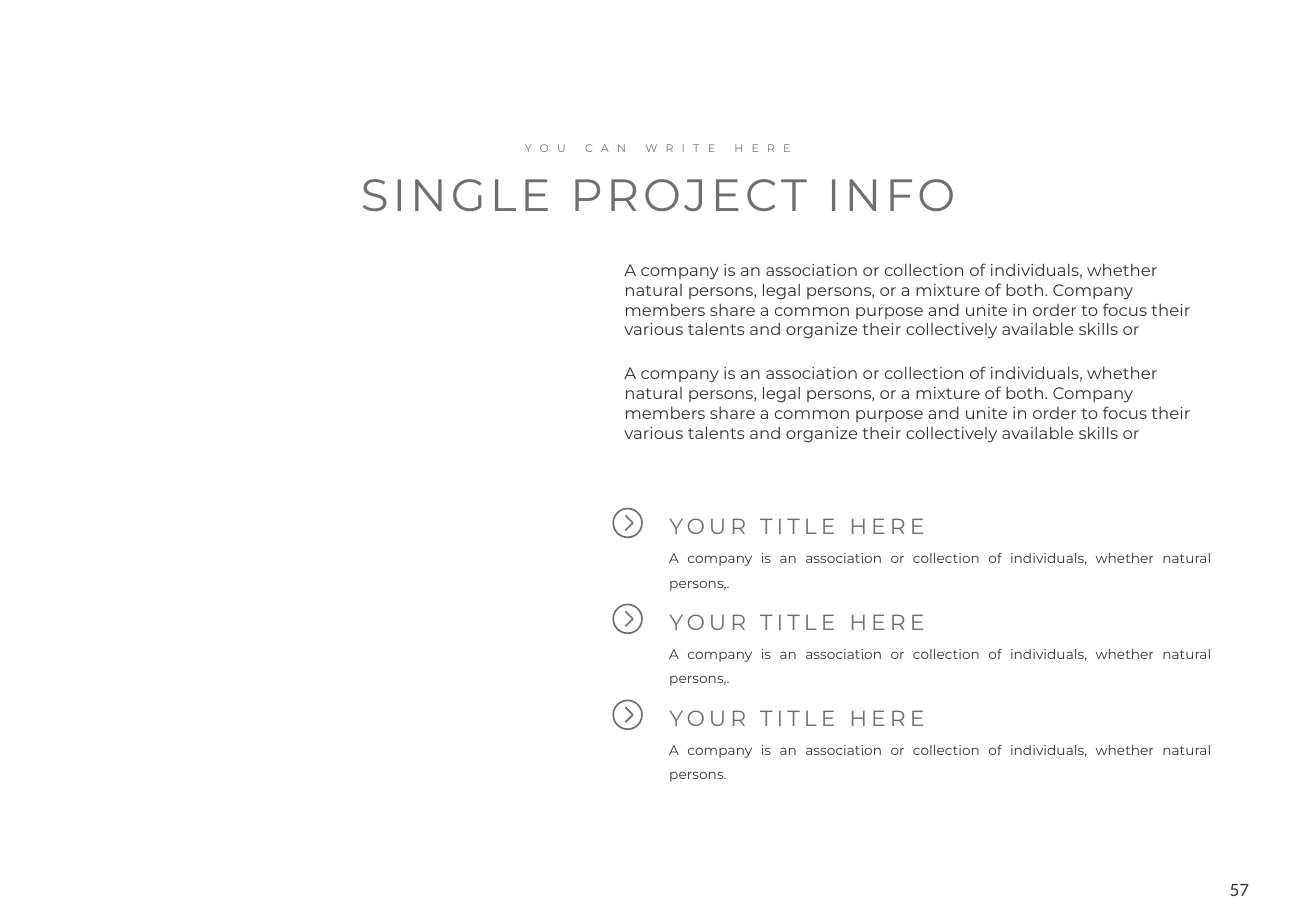
import pptx
import pptx.util
import pptx.dml.color
import pptx.enum.shapes
import pptx.enum.text

GREY = pptx.dml.color.RGBColor(0x70, 0x6E, 0x6F)
DARK = pptx.dml.color.RGBColor(0x33, 0x33, 0x33)
WIDE = pptx.util.Inches(10.83)
HIGH = pptx.util.Inches(7.5)
ALIGN = pptx.enum.text.PP_ALIGN
INTRO = "A company is an association or collection of individuals, whether natural persons"
BODY = (INTRO + ", legal persons, or a mixture of both. Company members share a common "
        "purpose and unite in order to focus their various talents and organize their "
        "collectively available skills or")
ENDS = [",.", ",.", "."]


def scale(box):
    """Turn a box in percent of the slide into lengths."""
    left, top, width, height = box
    return (int(WIDE * left / 100), int(HIGH * top / 100),
            int(WIDE * width / 100), int(HIGH * height / 100))


def write(slide, box, text, size, color=DARK, align=ALIGN.LEFT, space=0,
          wrap=True, lines=None, font="Montserrat", inset=True):
    """Write one paragraph in a text box."""
    frame = slide.shapes.add_textbox(*scale(box)).text_frame
    frame.word_wrap = wrap
    if not inset:
        frame.margin_left = frame.margin_right = 0
        frame.margin_top = frame.margin_bottom = 0
    para = frame.paragraphs[0]
    para.alignment = align
    if lines:
        para.line_spacing = lines
    run = para.add_run()
    run.text = text
    run.font.size = pptx.util.Pt(size)
    run.font.name = font
    run.font.color.rgb = color
    if space:
        run._r.get_or_add_rPr().set("spc", str(round(space * 100)))


def draw_head(slide, box):
    """Place the small line and the title below it."""
    left, top, width, height = box
    write(slide, (left + 11.17, top, 25.76, 2.8), "YOU CAN WRITE HERE", 6.5,
          GREY, ALIGN.CENTER, 4.9)
    write(slide, (left, top + 2.67, width, height - 2.67), "SINGLE PROJECT INFO",
          26.8, GREY, ALIGN.CENTER, 2.4, wrap=False)


def draw_body(slide, box):
    """Place two equal blocks of body text."""
    left, top, width, height = box
    for row in range(2):
        write(slide, (left, top + row * 11.33, width, height - 11.33), BODY, 9.8)


def draw_icon(slide, box):
    """Draw a ring with a chevron inside."""
    left, top, width, height = scale(box)
    ring = slide.shapes.add_shape(pptx.enum.shapes.MSO_SHAPE.OVAL,
                                  left, top, width, height)
    points = [(left + int(width * x), top + int(height * y))
              for x, y in [(0.42, 0.24), (0.68, 0.5), (0.42, 0.76)]]
    path = slide.shapes.build_freeform(*points[0])
    path.add_line_segments(points[1:], close=False)
    for shape in (ring, path.convert_to_shape()):
        shape.shadow.inherit = False
        shape.fill.background()
        shape.line.color.rgb = GREY
        shape.line.width = pptx.util.Pt(1)


def draw_item(slide, box, end):
    """Place an icon, a label and a note."""
    left, top, width, height = box
    text = left + 3.41
    draw_icon(slide, (left + 0.06, top + 0.22, 2.19, 3.17))
    write(slide, (text, top, 21.88, 4.27), "YOUR TITLE HERE", 13, GREY,
          space=2.4, wrap=False)
    write(slide, (text, top + 3.2, width - 3.41, height - 3.2), INTRO + end, 8.1,
          align=ALIGN.JUSTIFY, lines=1.5)


def main():
    """Build and save the slide."""
    deck = pptx.Presentation()
    deck.slide_width, deck.slide_height = WIDE, HIGH
    slide = deck.slides.add_slide(deck.slide_layouts[6])
    draw_head(slide, (25.95, 14.93, 48.2, 10))
    draw_body(slide, (46.54, 27.87, 46.45, 21.46))
    for row, end in enumerate(ENDS):
        draw_item(slide, (46.54, 55.6 + row * 10.53, 46.45, 9.73), end)
    write(slide, (92.43, 96.53, 2.49, 2.27), "57", 10, align=ALIGN.RIGHT,
          wrap=False, font="Lato", inset=False)
    deck.save("out.pptx")


if __name__ == "__main__":
    main()
